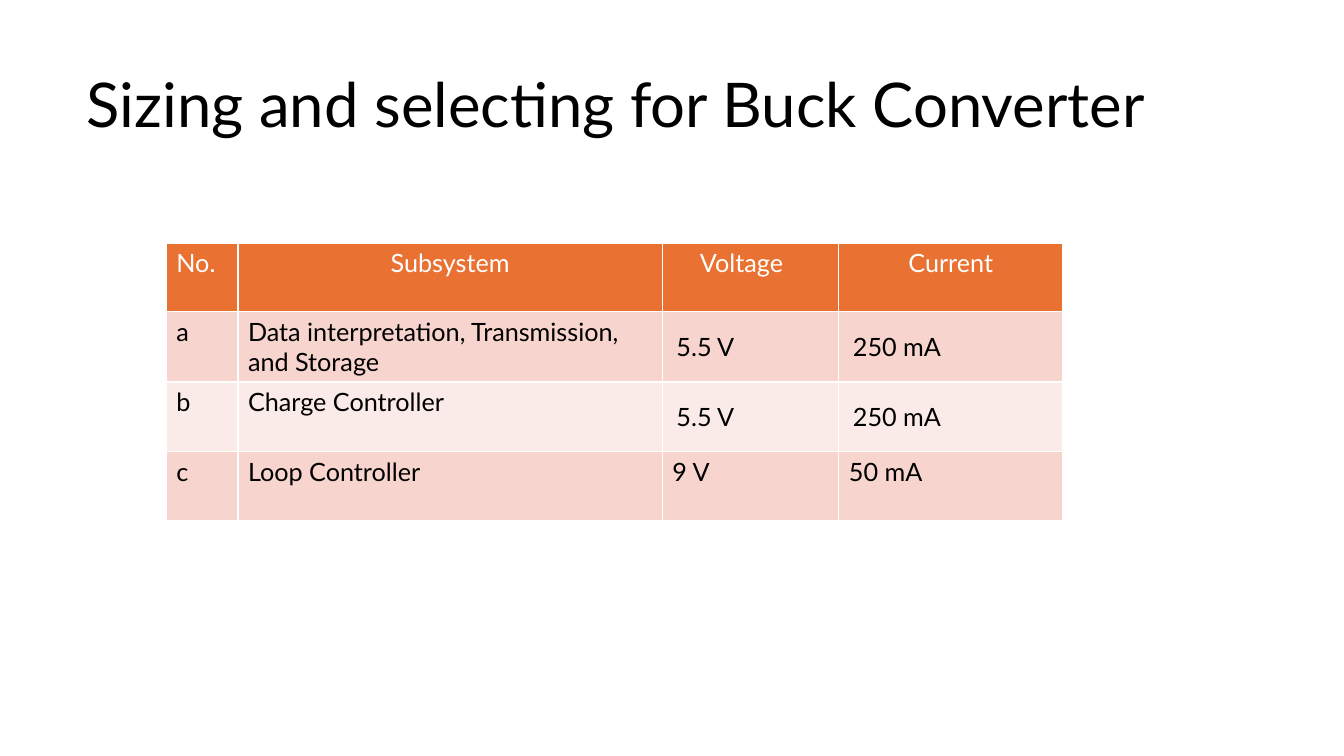
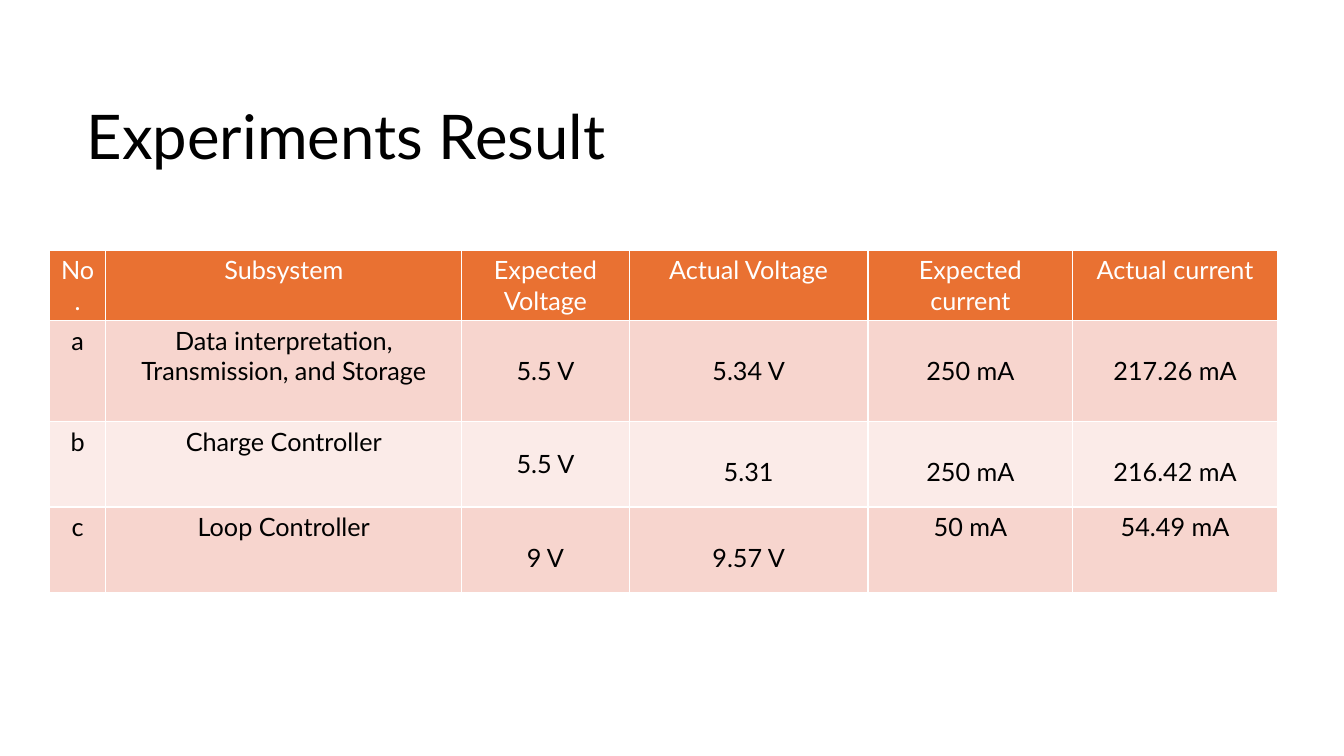
from dataclasses import dataclass

from lxml import etree
from pptx import Presentation
from pptx.dml.color import RGBColor
from pptx.enum import text
from pptx.oxml import ns
from pptx.util import Inches, Pt


@dataclass(frozen=True)
class Theme:
    font: str = "Lato"
    title_size: int = 44
    table_size: int = 18
    ink: str = "000000"
    paper: str = "FFFFFF"
    header: str = "E97132"
    odd_row: str = "F7D5CE"
    even_row: str = "FBEBE8"
    rule_width: int = 1


THEME = Theme()
CENTER = text.PP_ALIGN.CENTER
LEFT = text.PP_ALIGN.LEFT
MIDDLE = text.MSO_ANCHOR.MIDDLE
ONE_LINE_DOWN = Inches(0.35)


def style_paragraph(paragraph, size, color, alignment=LEFT):
    paragraph.alignment = alignment
    for run in paragraph.runs:
        run.font.name = THEME.font
        run.font.size = Pt(size)
        run.font.bold = False
        run.font.color.rgb = RGBColor.from_string(color)


def rule_cell(cell):
    """Draw the thin rules on all four sides; call before setting the fill."""
    properties = cell._tc.get_or_add_tcPr()
    for side in ("lnL", "lnR", "lnT", "lnB"):
        line = etree.SubElement(properties, ns.qn(f"a:{side}"), w=str(Pt(THEME.rule_width)))
        fill = etree.SubElement(line, ns.qn("a:solidFill"))
        etree.SubElement(fill, ns.qn("a:srgbClr"), val=THEME.paper)


# "middle" and "lowered" hold (row, column) of cells that leave the top edge.
pages = [
    {
        "title": "Sizing and selecting for Buck Converter",
        "title_box": (0.76, 0.55, 11.48, 1.04),
        "table_at": (1.65, 2.41),
        "columns": [0.71, 4.21, 1.75, 2.22],
        "heights": [0.68, 0.69, 0.69, 0.68],
        "rows": [
            ["No.", "Subsystem", "Voltage", "Current"],
            ["a", "Data interpretation, Transmission, and Storage", "5.5 V", "250 mA"],
            ["b", "Charge Controller", "5.5 V", "250 mA"],
            ["c", "Loop Controller", "9 V", "50 mA"],
        ],
        "centered": {(0, 1), (0, 2), (0, 3)},
        "middle": {(1, 2), (1, 3), (2, 2), (2, 3)},
        "lowered": set(),
        "right_margins": {(0, 2): 0.28},
    },
    {
        "title": "Experiments Result",
        "title_box": (0.76, 0.79, 11.48, 1.18),
        "table_at": (0.49, 2.48),
        "columns": [0.56, 3.53, 1.66, 2.37, 2.03, 2.03],
        "heights": [0.7, 1, 0.85, 0.85],
        "rows": [
            ["No.", "Subsystem", "Expected Voltage", "Actual Voltage",
             "Expected current", "Actual current"],
            ["a", "Data interpretation, Transmission, and Storage", "5.5 V", "5.34 V",
             "250 mA", "217.26 mA"],
            ["b", "Charge Controller", "5.5 V", "5.31", "250 mA", "216.42 mA"],
            ["c", "Loop Controller", "9 V", "9.57 V", "50 mA", "54.49 mA"],
        ],
        "centered": {(row, column) for row in range(4) for column in range(6)},
        "middle": {(1, 2), (2, 2)},
        "lowered": {(1, 3), (1, 4), (1, 5), (2, 3), (2, 4), (2, 5), (3, 2), (3, 3)},
        "right_margins": {},
    },
]

presentation = Presentation()
presentation.slide_width = Inches(13.33)
presentation.slide_height = Inches(7.5)
blank_layout = presentation.slide_layouts[6]

for page in pages:
    slide = presentation.slides.add_slide(blank_layout)

    title = slide.shapes.add_textbox(*map(Inches, page["title_box"])).text_frame
    title.word_wrap = True
    title.vertical_anchor = MIDDLE
    title.text = page["title"]
    title.paragraphs[0].line_spacing = 0.9
    style_paragraph(title.paragraphs[0], THEME.title_size, THEME.ink)

    table = slide.shapes.add_table(
        len(page["rows"]), len(page["columns"]), *map(Inches, page["table_at"]),
        Inches(sum(page["columns"])), Inches(sum(page["heights"])),
    ).table
    for column, width in zip(table.columns, page["columns"]):
        column.width = Inches(width)

    for row_index, values in enumerate(page["rows"]):
        table.rows[row_index].height = Inches(page["heights"][row_index])
        is_header = row_index == 0
        body_fill = THEME.odd_row if row_index % 2 else THEME.even_row
        for column_index, value in enumerate(values):
            place = (row_index, column_index)
            cell = table.cell(*place)
            cell.text_frame.text = value
            style_paragraph(
                cell.text_frame.paragraphs[0], THEME.table_size,
                THEME.paper if is_header else THEME.ink,
                CENTER if place in page["centered"] else LEFT,
            )
            rule_cell(cell)
            cell.fill.solid()
            cell.fill.fore_color.rgb = RGBColor.from_string(
                THEME.header if is_header else body_fill)
            if place in page["middle"]:
                cell.vertical_anchor = MIDDLE
                cell.margin_left = cell.margin_right = Inches(0.14)
                cell.margin_top = cell.margin_bottom = Inches(0.06)
            if place in page["lowered"]:
                cell.margin_top = ONE_LINE_DOWN
            if place in page["right_margins"]:
                cell.margin_right = Inches(page["right_margins"][place])

presentation.save("out.pptx")
